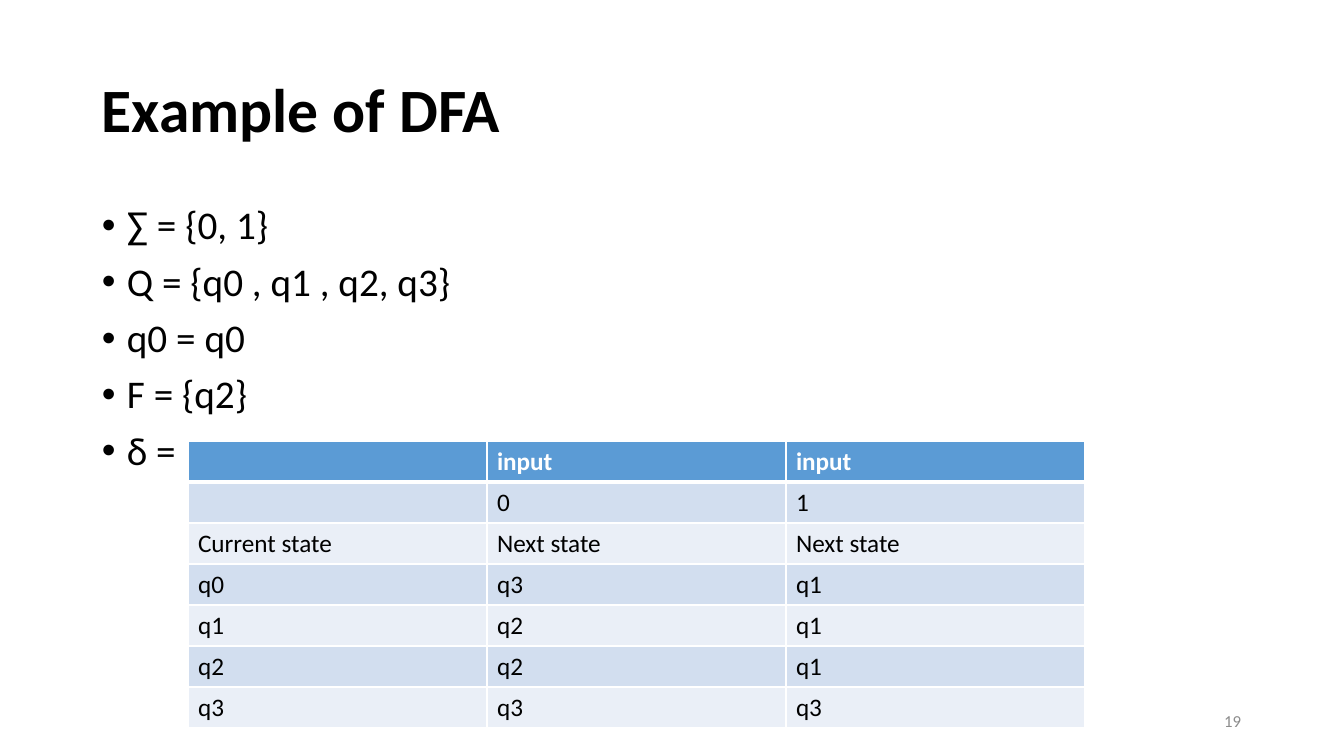
from lxml import etree
from pptx import Presentation, util as u
from pptx.dml.color import RGBColor
from pptx.enum import text as t
from pptx.oxml import ns

PX = 914400 / 100.8
BLACK = RGBColor(0x00, 0x00, 0x00)
WHITE = RGBColor(0xFF, 0xFF, 0xFF)
GREY = RGBColor(0x8C, 0x8C, 0x8C)
HEADER_BLUE = RGBColor(0x5B, 0x9B, 0xD5)
BAND_COLORS = (RGBColor(0xEA, 0xEF, 0xF7), RGBColor(0xD2, 0xDE, 0xEF))

DEFINITION = ("∑ = {0, 1}", "Q = {q0 , q1 , q2, q3}", "q0 = q0", "F = {q2}", "δ =")
TRANSITIONS = (
    ("", "input", "input"),
    ("", "0", "1"),
    ("Current state", "Next state", "Next state"),
    ("q0", "q3", "q1"),
    ("q1", "q2", "q1"),
    ("q2", "q2", "q1"),
    ("q3", "q3", "q3"),
)
COLUMN_WIDTH, ROW_HEIGHT = 299, 41


def px(length):
    return u.Emu(round(length * PX))


def apply(target, **values):
    for attribute, value in values.items():
        setattr(target, attribute, value)


def style_font(font, size, color, bold=False):
    apply(font, name="Calibri", size=u.Pt(size), bold=bold)
    font.color.rgb = color


def add_text(slide, box, lines, size, color, bold=False,
             anchor=t.MSO_ANCHOR.MIDDLE, **paragraph_format):
    frame = slide.shapes.add_textbox(*map(px, box)).text_frame
    apply(frame, word_wrap=True, vertical_anchor=anchor)
    frame.text = "\n".join(lines)
    for paragraph in frame.paragraphs:
        apply(paragraph, **paragraph_format)
        style_font(paragraph.runs[0].font, size, color, bold)
    return frame.paragraphs


def add_bullet(paragraph):
    properties = paragraph._p.get_or_add_pPr()
    properties.set("marL", str(px(25)))
    properties.set("indent", str(-px(25)))
    etree.SubElement(properties, ns.qn("a:buFont")).set("typeface", "Arial")
    etree.SubElement(properties, ns.qn("a:buChar")).set("char", "•")


def add_borders(cell, **widths):
    """Draw white cell borders; widths in points are keyed by side L, R, T, B."""
    properties = cell._tc.get_or_add_tcPr()
    for side, width in widths.items():
        line = etree.SubElement(properties, ns.qn(f"a:ln{side}"), w=str(u.Pt(width)))
        fill = etree.SubElement(line, ns.qn("a:solidFill"))
        etree.SubElement(fill, ns.qn("a:srgbClr")).set("val", str(WHITE))


def fill_cell(cell, words, row):
    is_header = row == 0
    add_borders(cell, L=1, R=1, T=3 if row == 1 else 1, B=3 if is_header else 1)
    cell.fill.solid()
    cell.fill.fore_color.rgb = HEADER_BLUE if is_header else BAND_COLORS[row % 2]
    cell.text = words
    style_font(cell.text_frame.paragraphs[0].font, 18,
               WHITE if is_header else BLACK, is_header)


def add_transition_table(slide, left, top):
    rows, columns = len(TRANSITIONS), len(TRANSITIONS[0])
    box = (left, top, columns * COLUMN_WIDTH, rows * ROW_HEIGHT)
    table = slide.shapes.add_table(rows, columns, *map(px, box)).table
    for row, states in enumerate(TRANSITIONS):
        for column, state in enumerate(states):
            fill_cell(table.cell(row, column), state, row)


def main():
    deck = Presentation()
    apply(deck, slide_width=px(1344), slide_height=px(756))
    slide = deck.slides.add_slide(deck.slide_layouts[6])

    add_text(slide, (92, 40, 1159, 146), ["Example of DFA"], 44, BLACK,
             bold=True, line_spacing=0.9)
    definition = add_text(slide, (92, 201, 1159, 480), DEFINITION, 28, BLACK,
                          anchor=t.MSO_ANCHOR.TOP, line_spacing=0.9,
                          space_before=u.Pt(10))
    for paragraph in definition:
        add_bullet(paragraph)
    add_text(slide, (949, 701, 302, 40), ["19"], 12, GREY,
             alignment=t.PP_ALIGN.RIGHT)
    add_transition_table(slide, 188, 441)

    deck.save("out.pptx")


if __name__ == "__main__":
    main()
